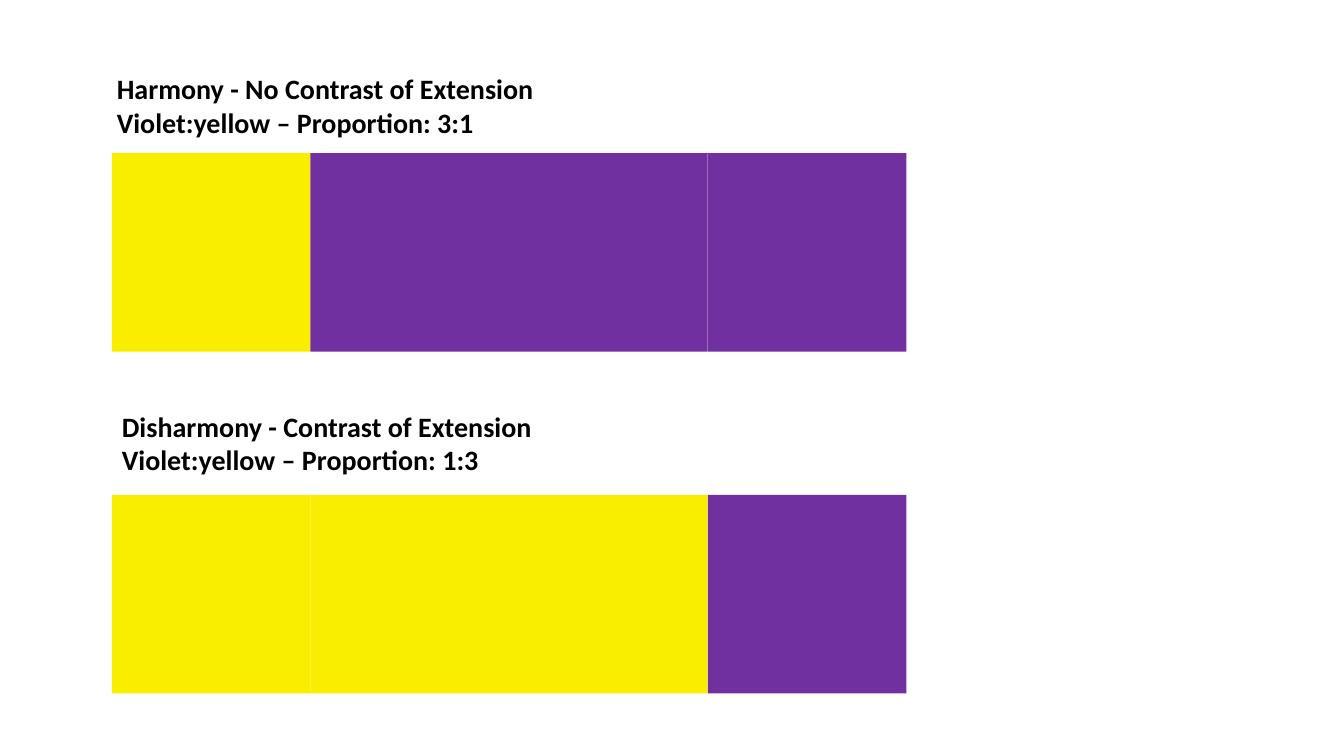
from pptx import Presentation
from pptx.dml.color import RGBColor
from pptx.enum.shapes import MSO_SHAPE
from pptx.enum.text import MSO_AUTO_SIZE
from pptx.util import Inches, Pt

COLORS = {"yellow": "FAEE00", "violet": "7030A0", "text": "000000"}
FONT, FONT_SIZE = "Calibri", 20
BANDS = [
    {
        "lines": ["Harmony - No Contrast of Extension", "Violet:yellow – Proportion: 3:1"],
        "caption": (1.06, 0.66, 5.15, 0.77),
        "top": 1.52,
        "squares": ["yellow"] + ["violet"] * 3,
    },
    {
        "lines": ["Disharmony - Contrast of Extension", "Violet:yellow – Proportion: 1:3"],
        "caption": (1.11, 4.01, 5.95, 0.77),
        "top": 4.91,
        "squares": ["yellow"] * 3 + ["violet"],
    },
]
LEFT, SIDE = Inches(1.11), Inches(1.97)


def add_square(s, col, top, color):
    sp = s.shapes.add_shape(MSO_SHAPE.RECTANGLE, LEFT + col * SIDE, Inches(top), SIDE, SIDE)
    sp.shadow.inherit = False
    sp.fill.solid()
    sp.fill.fore_color.rgb = RGBColor.from_string(COLORS[color])
    sp.line.fill.background()


def add_caption(s, box, lines):
    tf = s.shapes.add_textbox(*map(Inches, box)).text_frame
    tf.word_wrap = True
    tf.auto_size = MSO_AUTO_SIZE.SHAPE_TO_FIT_TEXT
    tf.text = "\n".join(lines)
    for p in tf.paragraphs:
        for r in p.runs:
            r.font.name = FONT
            r.font.size = Pt(FONT_SIZE)
            r.font.bold = True
            r.font.color.rgb = RGBColor.from_string(COLORS["text"])


def main():
    prs = Presentation()
    prs.slide_width, prs.slide_height = Inches(13.33), Inches(7.5)
    s = prs.slides.add_slide(prs.slide_layouts[6])
    for band in BANDS:
        for col, color in enumerate(band["squares"]):
            add_square(s, col, band["top"], color)
        add_caption(s, band["caption"], band["lines"])
    prs.save("out.pptx")


if __name__ == "__main__":
    main()
